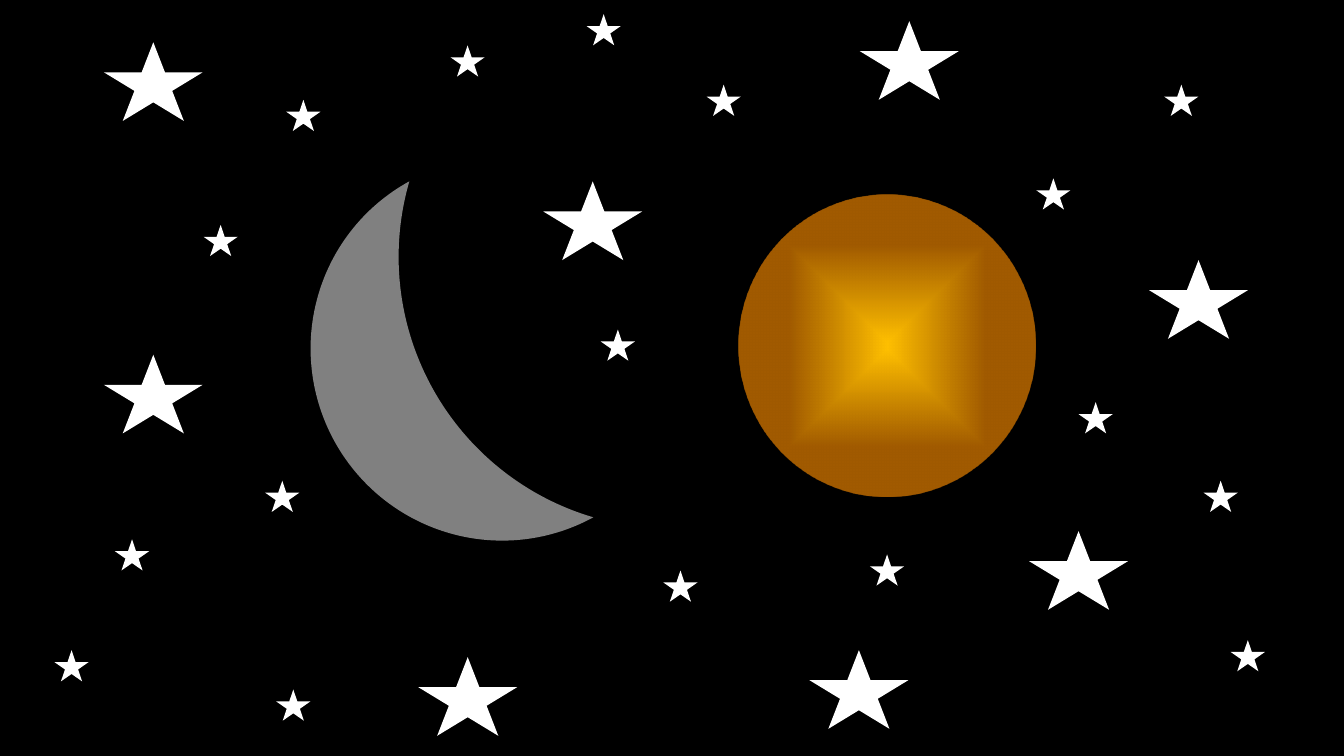
from lxml.etree import fromstring
from pptx import Presentation
from pptx.dml.color import RGBColor as Rgb
from pptx.enum.shapes import MSO_SHAPE as Geo
from pptx.oxml.ns import nsdecls, qn
from pptx.util import Pt

HUES = {"sky": "000000", "moon": "808080", "star": "FFFFFF",
        "core": "FFC000", "rim": "A75E00"}

# Star sizes and their top left corners, in points
STARS = {
    (70.6, 56.2): [
        (74.2, 30.2), (388.1, 129.6), (74.2, 253.4), (298.8, 469.4),
        (614.2, 15.1), (820.8, 185.8), (735.1, 379.4), (578.2, 464.4)],
    (24.5, 22.3): [
        (204.5, 71.3), (145.4, 160.6), (321.8, 32.4), (429.1, 235.4),
        (189.4, 343.4), (38.9, 464.4), (197.3, 492.5), (473.8, 407.5),
        (504.7, 60.5), (831.6, 60.5), (859.7, 343.4), (879.1, 457.2),
        (770.4, 287.3), (740.2, 127.4), (621.4, 396), (419, 10.1),
        (82.1, 385.2)],
}


class Sky:
    def __init__(self, slide, hues):
        self.slide = slide
        self.hues = hues

    def paint(self, fill, hue):
        fill.solid()
        fill.fore_color.rgb = Rgb.from_string(self.hues[hue])

    def shape(self, geo, box, **form):
        item = self.slide.shapes.add_shape(geo, *map(Pt, box))
        item.shadow.inherit = False
        item.line.fill.background()
        for name, value in form.items():
            setattr(item, name, value)
        return item

    def star(self, spot, size):
        self.paint(self.shape(Geo.STAR_5_POINT, spot + size).fill, "star")

    def moon(self, box, turn, bite):
        item = self.shape(Geo.MOON, box, rotation=turn)
        item.adjustments[0] = bite
        self.paint(item.fill, "moon")

    def sun(self, box):
        item = self.shape(Geo.OVAL, box)
        item.fill.background()
        blank = item.element.spPr.find(qn("a:noFill"))
        glow = fromstring(
            f'<a:gradFill {nsdecls("a")} rotWithShape="1"><a:gsLst>'
            f'<a:gs pos="0"><a:srgbClr val="{self.hues["core"]}"/></a:gs>'
            f'<a:gs pos="66000"><a:srgbClr val="{self.hues["rim"]}">'
            '<a:alpha val="96000"/></a:srgbClr></a:gs></a:gsLst>'
            '<a:path path="shape"><a:fillToRect l="50000" t="50000" '
            'r="50000" b="50000"/></a:path></a:gradFill>')
        item.element.spPr.replace(blank, glow)


def main():
    deck = Presentation()
    deck.slide_width, deck.slide_height = Pt(960), Pt(540)
    sky = Sky(deck.slides.add_slide(deck.slide_layouts[6]), HUES)
    sky.paint(sky.slide.background.fill, "sky")

    # Moon and sun
    sky.moon((230.4, 145.4, 136.1, 273.6), 331.3, 0.585)
    sky.sun((527.8, 139, 211.7, 216))

    # Large stars, then small ones
    for size, spots in STARS.items():
        for spot in spots:
            sky.star(spot, size)

    deck.save("out.pptx")


if __name__ == "__main__":
    main()
